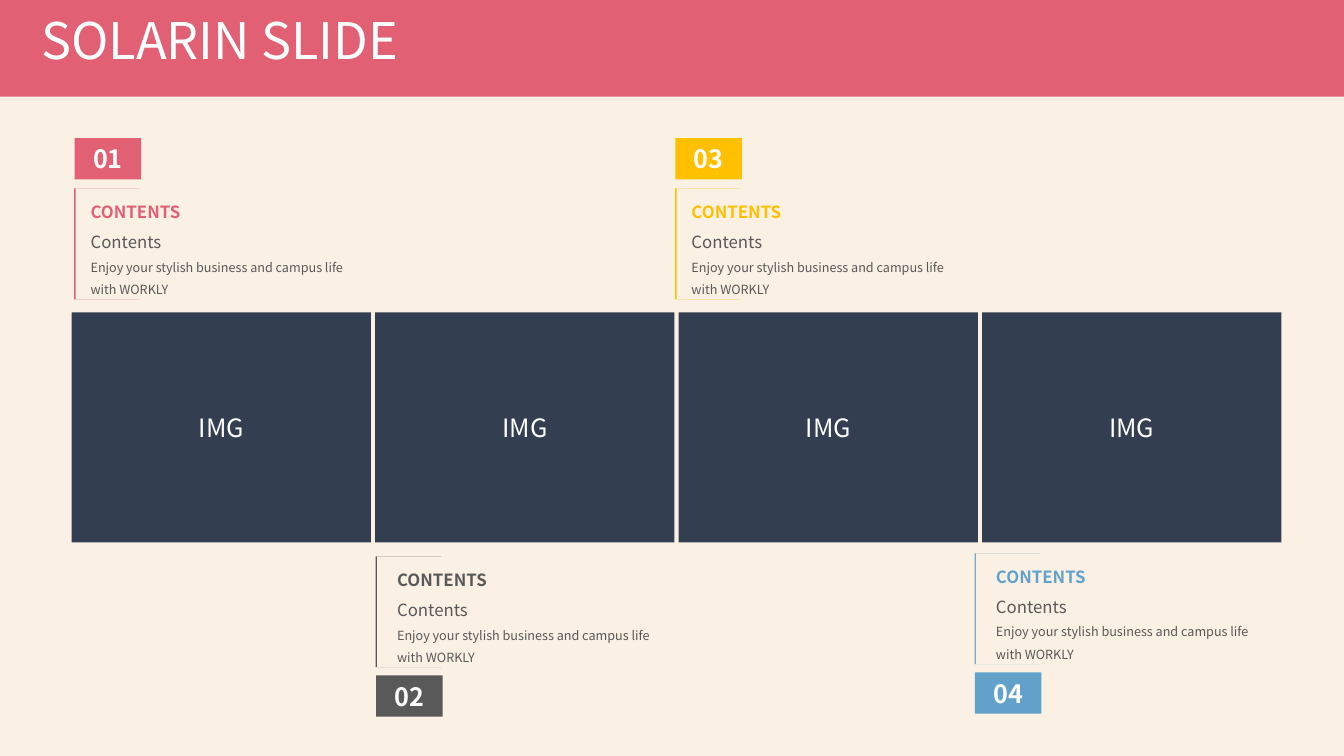
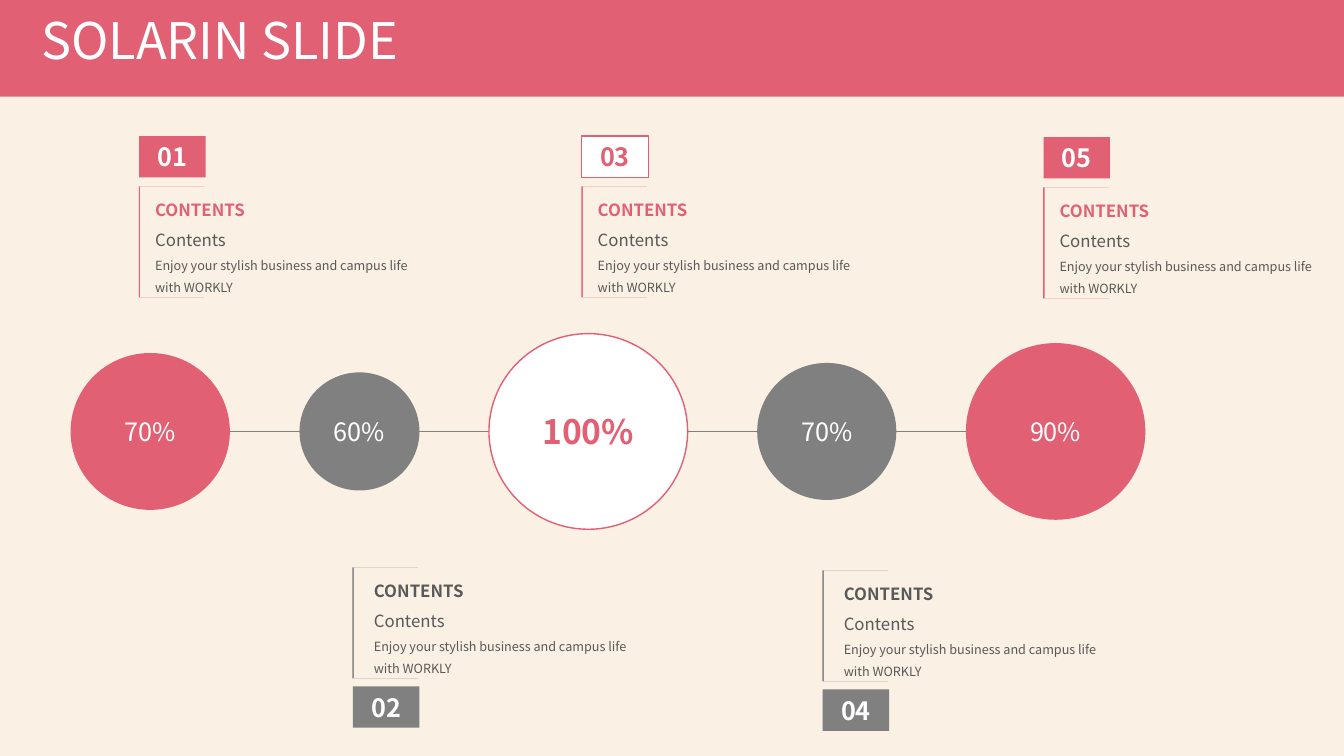
from lxml import etree
from pptx import Presentation
from pptx.dml.color import RGBColor
from pptx.enum.shapes import MSO_CONNECTOR, MSO_SHAPE
from pptx.enum.text import MSO_ANCHOR, MSO_AUTO_SIZE, PP_ALIGN
from pptx.oxml.ns import qn
from pptx.util import Inches, Pt

FONT = "Noto Sans CJK KR"
CREAM = RGBColor(0xFA, 0xF0, 0xE4)
ROSE = RGBColor(0xE1, 0x60, 0x74)
YELLOW = RGBColor(0xFF, 0xC0, 0x00)
BLUE = RGBColor(0x62, 0xA2, 0xCA)
NAVY = RGBColor(0x33, 0x3F, 0x50)
DARK = RGBColor(0x59, 0x59, 0x59)
GRAY = RGBColor(0x80, 0x80, 0x80)
WHITE = RGBColor(0xFF, 0xFF, 0xFF)


def write_text(paragraph, text, size=18, color=WHITE, bold=False,
               align=PP_ALIGN.LEFT, spacing=1.0):
    paragraph.alignment = align
    paragraph.line_spacing = spacing
    run = paragraph.add_run()
    run.text = text
    run.font.name = FONT
    run.font.size = Pt(size)
    run.font.bold = bold
    run.font.color.rgb = color


def add_block(slide, kind, left, top, width, height, fill, outline=None, text="", **style):
    shape = slide.shapes.add_shape(kind, Inches(left), Inches(top), Inches(width), Inches(height))
    shape.shadow.inherit = False
    shape.fill.solid()
    shape.fill.fore_color.rgb = fill
    if outline is None:
        shape.line.fill.background()
    else:
        shape.line.color.rgb = outline
        shape.line.width = Pt(1)
    if text:
        shape.text_frame.vertical_anchor = MSO_ANCHOR.MIDDLE
        write_text(shape.text_frame.paragraphs[0], text, align=PP_ALIGN.CENTER, **style)
    return shape


presentation = Presentation()
presentation.slide_width = Inches(13.33)
presentation.slide_height = Inches(7.5)
background = presentation.slide_master.background.fill
background.solid()
background.fore_color.rgb = CREAM

# Callouts: number, badge left, badge top, accent, heading colour, text above badge, outlined
image_callouts = [
    ("01", 0.74, 1.37, ROSE, ROSE, False, False),
    ("03", 6.7, 1.37, YELLOW, YELLOW, False, False),
    ("04", 9.67, 6.67, BLUE, BLUE, True, False),
    ("02", 3.73, 6.7, DARK, DARK, True, False),
]
circle_callouts = [
    ("01", 1.38, 1.35, ROSE, ROSE, False, False),
    ("02", 3.5, 6.81, GRAY, DARK, True, False),
    ("04", 8.16, 6.84, GRAY, DARK, True, False),
    ("03", 5.77, 1.35, ROSE, ROSE, False, True),
    ("05", 10.35, 1.36, ROSE, ROSE, False, False),
]

slides = []
for callouts in (image_callouts, circle_callouts):
    slide = presentation.slides.add_slide(presentation.slide_layouts[5])
    slides.append(slide)

    # Title on its band
    band = add_block(slide, MSO_SHAPE.RECTANGLE, 0, 0, 13.33, 0.96, ROSE)
    title = slide.shapes.title
    band._element.addnext(title._element)
    title.left, title.top = Inches(0.31), Inches(0.11)
    title.width, title.height = Inches(6.75), Inches(0.71)
    title.text_frame.auto_size = MSO_AUTO_SIZE.NONE
    title.text_frame.vertical_anchor = MSO_ANCHOR.TOP
    write_text(title.text_frame.paragraphs[0], "SOLARIN SLIDE", size=36, spacing=0.9)

    for number, left, top, accent, heading_color, text_above, outlined in callouts:
        # Number badge
        add_block(slide, MSO_SHAPE.RECTANGLE, left, top, 0.66, 0.41,
                  WHITE if outlined else accent, outline=accent if outlined else None,
                  text=number, color=accent if outlined else WHITE, bold=True)

        # Panel with a hard shadow along its left edge
        panel_top = top - 1.18 if text_above else top + 0.5
        panel = add_block(slide, MSO_SHAPE.RECTANGLE, left + 0.01, panel_top, 0.65, 1.1, CREAM)
        effects = panel._element.spPr.find(qn("a:effectLst"))
        shadow = etree.SubElement(effects, qn("a:outerShdw"), blurRad="0", dist="12700",
                                  dir="10800000", algn="r", rotWithShape="0")
        etree.SubElement(shadow, qn("a:srgbClr"), val=str(accent))

        # Callout text
        text_left = left + (0.11 if text_above else 0.06)
        box = slide.shapes.add_textbox(Inches(text_left), Inches(panel_top - 0.02),
                                       Inches(2.71), Inches(1.16))
        frame = box.text_frame
        frame.word_wrap = True
        write_text(frame.paragraphs[0], "CONTENTS", size=12, color=heading_color,
                   bold=True, spacing=1.5)
        write_text(frame.add_paragraph(), "Contents", size=12, color=DARK, spacing=1.5)
        write_text(frame.add_paragraph(),
                   "Enjoy your stylish business and campus life with WORKLY",
                   size=9, color=DARK, spacing=1.5)

image_slide, circle_slide = slides

# Row of image areas
for column in range(4):
    add_block(image_slide, MSO_SHAPE.RECTANGLE, 0.71 + 3.01 * column, 3.1, 2.97, 2.28,
              NAVY, text="IMG")

# Line through the circles
axis = 4.28
connector = circle_slide.shapes.add_connector(
    MSO_CONNECTOR.STRAIGHT, Inches(2.28), Inches(axis), Inches(9.58), Inches(axis))
connector.line.color.rgb = GRAY
connector.line.width = Pt(0.5)
etree.SubElement(connector._element.spPr, qn("a:effectLst"))

# Percentage circles, evenly spaced
circles = [
    ("70%", 1.58, ROSE, None, {}),
    ("60%", 1.19, GRAY, None, {}),
    ("100%", 1.97, WHITE, ROSE, {"size": 24, "color": ROSE, "bold": True}),
    ("70%", 1.38, GRAY, None, {}),
    ("90%", 1.78, ROSE, None, {}),
]
circle_left = 0.7
for percentage, width, fill, outline, style in circles:
    height = width * 0.985
    add_block(circle_slide, MSO_SHAPE.OVAL, circle_left, axis - height / 2, width, height,
              fill, outline=outline, text=percentage, **style)
    circle_left += width + 0.69

presentation.save("out.pptx")
